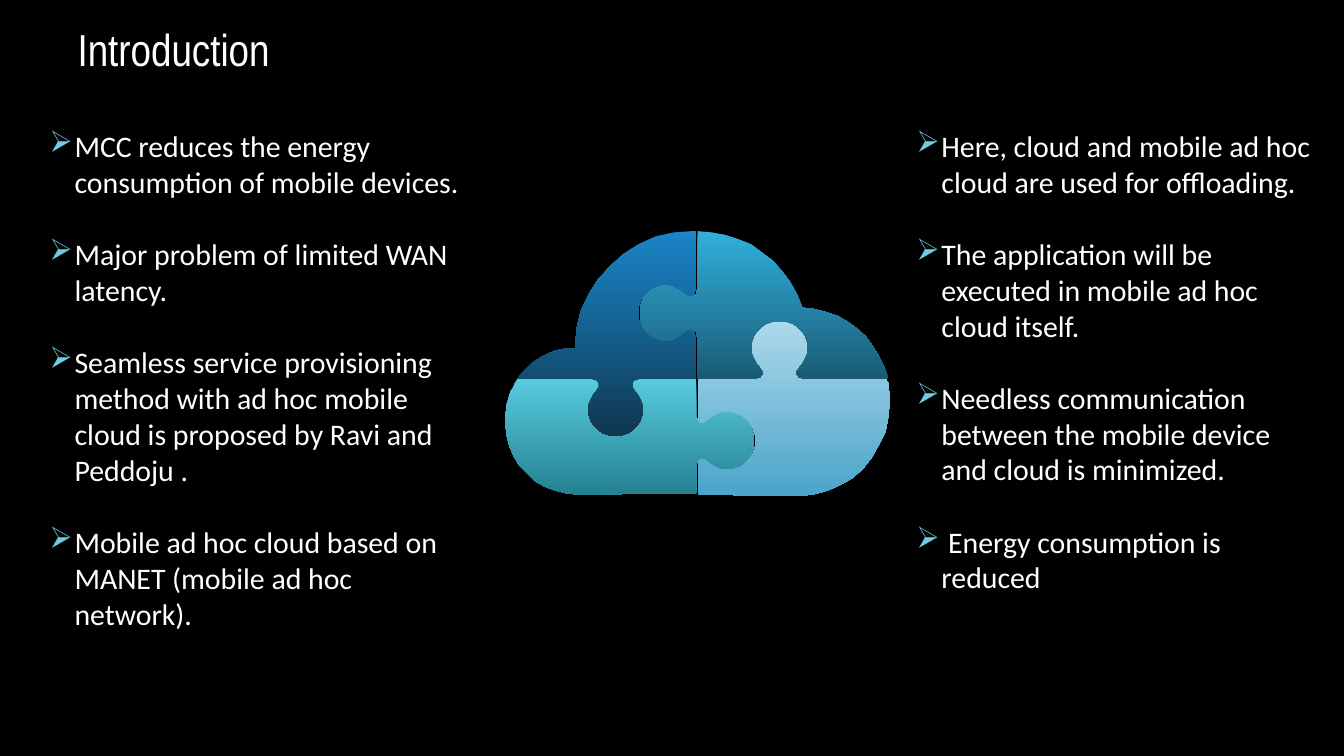
from dataclasses import dataclass

from lxml.etree import SubElement
from pptx import Presentation
from pptx.dml.color import RGBColor
from pptx.enum.text import MSO_ANCHOR, PP_ALIGN
from pptx.oxml.ns import qn
from pptx.util import Pt


@dataclass(frozen=True)
class Theme:
    background: str = "000000"
    text: str = "FFFFFF"
    bullet: str = "6ECDE5"
    top_left: tuple = ("1A85C8", "0F3750")
    top_right: tuple = ("31AFDD", "195B73")
    bottom_left: tuple = ("58CBDF", "238191")
    bottom_right: tuple = ("ADD8EB", "4BA4CA")
    title_font: str = "Arial Narrow"
    body_font: str = "Calibri"
    title_size: float = 24
    body_size: float = 16
    point_gap: float = 19.5
    indent: float = 13.5


THEME = Theme()
CLOUD_UNIT = Pt(0.72)
CURVE_STEPS = 10

UP, DOWN, LEFT, RIGHT = (0, -1), (0, 1), (-1, 0), (1, 0)
KNOB = [
    (-21, 0),
    (-15, 0, -12, 2, -13, 5),
    (-14, 9, -21, 12, -21, 23),
    (-21, 34, -12, 43, 0, 43),
    (12, 43, 21, 34, 21, 23),
    (21, 12, 14, 9, 13, 5),
    (12, 2, 15, 0, 21, 0),
]

LEFT_POINTS = [
    "MCC reduces the energy consumption of mobile devices.",
    "Major problem of limited WAN latency.",
    "Seamless service provisioning method with ad hoc mobile cloud is proposed by Ravi and Peddoju .",
    "Mobile ad hoc cloud based on MANET (mobile ad hoc network).",
]
RIGHT_POINTS = [
    "Here, cloud and mobile ad hoc cloud are used for offloading.",
    "The application will be executed in mobile ad hoc cloud itself.",
    "Needless communication between the mobile device and cloud is minimized.",
    " Energy consumption is reduced",
]


def knob(x, y, travel, bulge):
    placed = []
    for segment in KNOB:
        pairs = zip(segment[::2], segment[1::2])
        placed.append(tuple(
            value
            for along, out in pairs
            for value in (
                x + along * travel[0] + out * bulge[0],
                y + along * travel[1] + out * bulge[1],
            )
        ))
    return placed


def flatten(segments):
    vertices = []
    for segment in segments:
        if len(segment) == 2:
            vertices.append(segment)
            continue
        start_x, start_y = vertices[-1]
        x1, y1, x2, y2, end_x, end_y = segment
        for step in range(1, CURVE_STEPS + 1):
            t = step / CURVE_STEPS
            a, b, c, d = (1 - t) ** 3, 3 * t * (1 - t) ** 2, 3 * t * t * (1 - t), t ** 3
            vertices.append((
                a * start_x + b * x1 + c * x2 + d * end_x,
                a * start_y + b * y1 + c * y2 + d * end_y,
            ))
    return vertices


def add_piece(slide, outline, colors):
    start, *rest = flatten(outline)
    builder = slide.shapes.build_freeform(*start, scale=CLOUD_UNIT)
    builder.add_line_segments(rest, close=True)
    piece = builder.convert_to_shape()
    piece.shadow.inherit = False
    piece.line.fill.background()
    piece.fill.gradient()
    piece.fill.gradient_angle = 270
    for stop, color in zip(piece.fill.gradient_stops, colors):
        stop.color.rgb = RGBColor.from_string(color)


def add_cloud(slide):
    seam_y, left_seam, right_seam = 282, 518, 519
    bottom_right = [
        (right_seam, seam_y),
        *knob(right_seam, 328, DOWN, RIGHT),
        (right_seam, 368), (594, 369),
        (632, 369, 662, 338, 662, 299),
        (662, 293, 661, 287, 660, seam_y),
        *knob(580, seam_y, LEFT, UP),
    ]
    top_right = [
        (right_seam, 172),
        *knob(right_seam, 233, DOWN, LEFT),
        (right_seam, seam_y),
        *knob(580, seam_y, RIGHT, UP),
        (661, seam_y),
        (653, 251, 627, 230, 597, 229),
        (585, 195, 555, 172, right_seam, 172),
    ]
    top_left = [
        (428, 259),
        (428, 211, 467, 172, 515, 172),
        (left_seam, 172),
        *knob(left_seam, 233, DOWN, LEFT),
        (left_seam, seam_y),
        *knob(458, seam_y, LEFT, DOWN),
        (385, seam_y),
        (395, 268, 410, 259, 428, 259),
    ]
    bottom_left = [
        (385, seam_y),
        *knob(458, seam_y, RIGHT, DOWN),
        (left_seam, seam_y),
        *knob(left_seam, 328, DOWN, RIGHT),
        (left_seam, 367), (430, 368),
        (400, 368, 376, 344, 376, 315),
        (376, 303, 379, 292, 385, seam_y),
    ]
    add_piece(slide, bottom_right, THEME.bottom_right)
    add_piece(slide, top_right, THEME.top_right)
    add_piece(slide, top_left, THEME.top_left)
    add_piece(slide, bottom_left, THEME.bottom_left)


def add_text_frame(slide, bounds, anchor=MSO_ANCHOR.TOP):
    frame = slide.shapes.add_textbox(*map(Pt, bounds)).text_frame
    frame.word_wrap = True
    frame.vertical_anchor = anchor
    return frame


def add_run(paragraph, text, font, size):
    run = paragraph.add_run()
    run.text = text
    run.font.name = font
    run.font.size = Pt(size)
    run.font.color.rgb = RGBColor.from_string(THEME.text)


def add_bullet(paragraph):
    properties = paragraph._p.get_or_add_pPr()
    properties.set("marL", str(Pt(THEME.indent)))
    properties.set("indent", str(-Pt(THEME.indent)))
    color = SubElement(properties, qn("a:buClr"))
    SubElement(color, qn("a:srgbClr"), val=THEME.bullet)
    SubElement(properties, qn("a:buChar"), char="➢")


def add_title(slide, text, bounds):
    frame = add_text_frame(slide, bounds)
    frame.margin_top = frame.margin_bottom = Pt(7.2)
    heading = frame.paragraphs[0]
    heading.alignment = PP_ALIGN.CENTER
    add_run(heading, text, THEME.title_font, THEME.title_size)


def add_points(slide, points, bounds, anchor):
    frame = add_text_frame(slide, bounds, anchor)
    for index, point in enumerate(points):
        paragraph = frame.add_paragraph() if index else frame.paragraphs[0]
        paragraph.space_before = Pt(THEME.point_gap if index else 0)
        add_bullet(paragraph)
        add_run(paragraph, point, THEME.body_font, THEME.body_size)


def main():
    deck = Presentation()
    deck.slide_width, deck.slide_height = Pt(720), Pt(405)
    slide = deck.slides.add_slide(deck.slide_layouts[6])
    slide.background.fill.solid()
    slide.background.fill.fore_color.rgb = RGBColor.from_string(THEME.background)
    add_title(slide, "Introduction", (26, 4.3, 134, 45.4))
    add_cloud(slide)
    add_points(slide, LEFT_POINTS, (19.4, 41, 238.3, 324.7), MSO_ANCHOR.MIDDLE)
    add_points(slide, RIGHT_POINTS, (483.8, 64.8, 226, 296), MSO_ANCHOR.TOP)
    deck.save("out.pptx")


if __name__ == "__main__":
    main()
